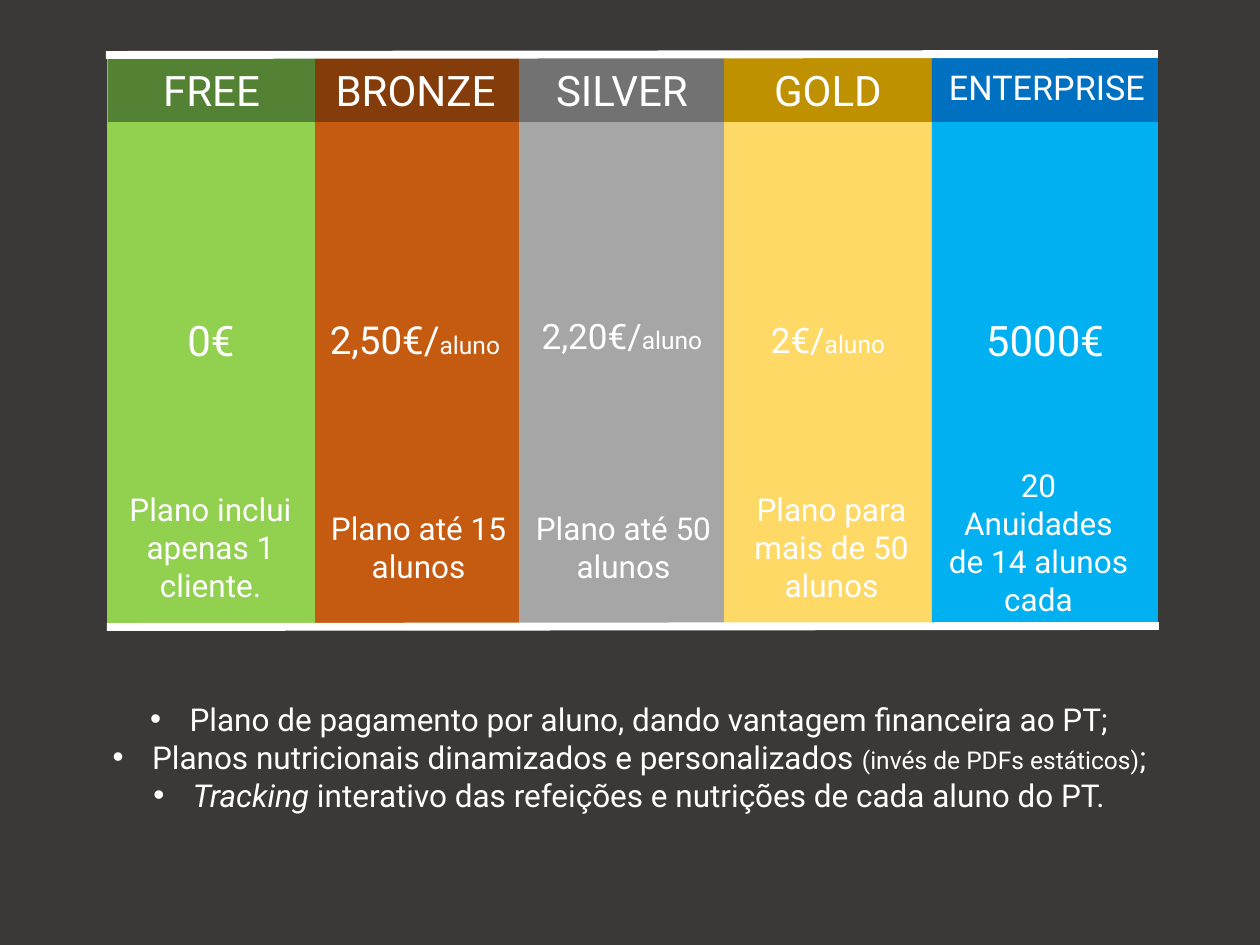
from dataclasses import dataclass
from typing import NamedTuple, Optional

from lxml import etree
from pptx import Presentation
from pptx import util as u
from pptx.dml.color import RGBColor
from pptx.enum import shapes, text
from pptx.oxml import ns

EMU_PER_PX = 914400 / 126


@dataclass(frozen=True)
class Theme:
    font: str = "Roboto"
    background: str = "3B3838"
    ink: str = "FFFFFF"
    heading: float = 24
    wide_heading: float = 19.5
    copy: float = 18
    small: float = 14
    rule: float = 4.5


THEME = Theme()


class Area(NamedTuple):
    left: int
    top: int
    width: int
    height: int


class Span(NamedTuple):
    words: str
    size: float = THEME.copy
    italic: bool = False


@dataclass(frozen=True)
class Tier:
    name: str
    column: Area
    header: Area
    details: Area
    fill: str
    header_fill: str
    price: list[Span]
    offer: str
    title: Optional[Area] = None
    price_lift: int = 0


def px(length: float) -> u.Emu:
    return u.Emu(round(length * EMU_PER_PX))


def apply(target, values: dict) -> None:
    for name, value in values.items():
        setattr(target, name, value)


def write(box, paragraphs: list[list[Span]], bulleted: bool = False, **frame_format) -> None:
    frame = box.text_frame
    apply(frame, {"word_wrap": True, **frame_format})
    for index, spans in enumerate(paragraphs):
        paragraph = frame.add_paragraph() if index else frame.paragraphs[0]
        paragraph.alignment = text.PP_ALIGN.CENTER
        if bulleted:
            properties = paragraph._p.get_or_add_pPr()
            properties.set("marL", "285750")
            properties.set("indent", "-285750")
            etree.SubElement(properties, ns.qn("a:buFont")).set("typeface", "Arial")
            etree.SubElement(properties, ns.qn("a:buChar")).set("char", "•")
        for span in spans:
            run = paragraph.add_run()
            run.text = span.words
            apply(run.font, {"name": THEME.font, "size": u.Pt(span.size), "italic": span.italic})
            run.font.color.rgb = RGBColor.from_string(THEME.ink)


def add_block(slide, area: Area, fill: str):
    block = slide.shapes.add_shape(shapes.MSO_SHAPE.RECTANGLE, *map(px, area))
    block.shadow.inherit = False
    block.fill.solid()
    block.fill.fore_color.rgb = RGBColor.from_string(fill)
    block.line.fill.background()
    return block


def add_text(slide, area: Area, paragraphs: list[list[Span]], bulleted: bool = False) -> None:
    box = slide.shapes.add_textbox(*map(px, area))
    write(box, paragraphs, bulleted, auto_size=text.MSO_AUTO_SIZE.SHAPE_TO_FIT_TEXT)


def add_tier(slide, tier: Tier) -> None:
    column = add_block(slide, tier.column, tier.fill)
    write(column, [tier.price], vertical_anchor=text.MSO_ANCHOR.MIDDLE,
          margin_bottom=u.Inches(0.05) + px(2 * tier.price_lift))
    header = add_block(slide, tier.header, tier.header_fill)
    if tier.title:
        add_text(slide, tier.title, [[Span(tier.name, THEME.wide_heading)]])
    else:
        write(header, [[Span(tier.name, THEME.heading)]], vertical_anchor=text.MSO_ANCHOR.TOP,
              auto_size=text.MSO_AUTO_SIZE.SHAPE_TO_FIT_TEXT)
    add_text(slide, tier.details, [[Span(tier.offer)]])


def add_rule(slide, left: int, top: int, right: int, bottom: int) -> None:
    rule = slide.shapes.add_connector(
        shapes.MSO_CONNECTOR.STRAIGHT, *map(px, (left, top, right, bottom)))
    rule.line.width = u.Pt(THEME.rule)
    rule.line.color.rgb = RGBColor.from_string(THEME.ink)
    etree.SubElement(rule._element.spPr, ns.qn("a:effectLst"))


PER_STUDENT = Span("aluno", THEME.small)

TIERS = [
    Tier("SILVER", Area(518, 54, 208, 571), Area(519, 58, 206, 64), Area(519, 503, 209, 89),
         "A6A6A6", "727272", [Span("2,20€/", 20), PER_STUDENT], "Plano até 50 alunos",
         price_lift=4),
    Tier("GOLD", Area(724, 54, 208, 571), Area(724, 58, 208, 64), Area(727, 484, 209, 127),
         "FFD966", "BF9000", [Span("2€/", 20), PER_STUDENT], "Plano para mais de 50 alunos"),
    Tier("ENTERPRISE", Area(932, 54, 226, 571), Area(932, 57, 226, 65), Area(934, 460, 209, 165),
         "00B0F0", "0070C0", [Span("5000€", 24)], "20 Anuidades de 14 alunos cada",
         title=Area(936, 60, 222, 54)),
    Tier("BRONZE", Area(311, 54, 208, 571), Area(312, 58, 207, 64), Area(314, 503, 209, 89),
         "C55A11", "843C0B", [Span("2,50€/", 22), PER_STUDENT], "Plano até 15 alunos"),
    Tier("FREE", Area(107, 54, 208, 571), Area(108, 58, 207, 64), Area(106, 484, 209, 127),
         "92D050", "548235", [Span("0€", 24)], "Plano inclui apenas 1 cliente."),
]

RULES = [(106, 55, 1158, 54), (107, 627, 1159, 626)]

BENEFITS = [
    [Span("Plano de pagamento por aluno, dando vantagem financeira ao PT;")],
    [Span("Planos nutricionais dinamizados e personalizados "),
     Span("(invés de PDFs estáticos)", THEME.small), Span(";")],
    [Span("Tracking", italic=True),
     Span(" interativo das refeições e nutrições de cada aluno do PT.")],
]


def main() -> None:
    deck = Presentation()
    apply(deck, {"slide_width": px(1260), "slide_height": px(945)})
    slide = deck.slides.add_slide(deck.slide_layouts[6])
    slide.background.fill.solid()
    slide.background.fill.fore_color.rgb = RGBColor.from_string(THEME.background)
    for tier in TIERS:
        add_tier(slide, tier)
    for ends in RULES:
        add_rule(slide, *ends)
    add_text(slide, Area(87, 694, 1085, 127), BENEFITS, bulleted=True)
    deck.save("out.pptx")


if __name__ == "__main__":
    main()
